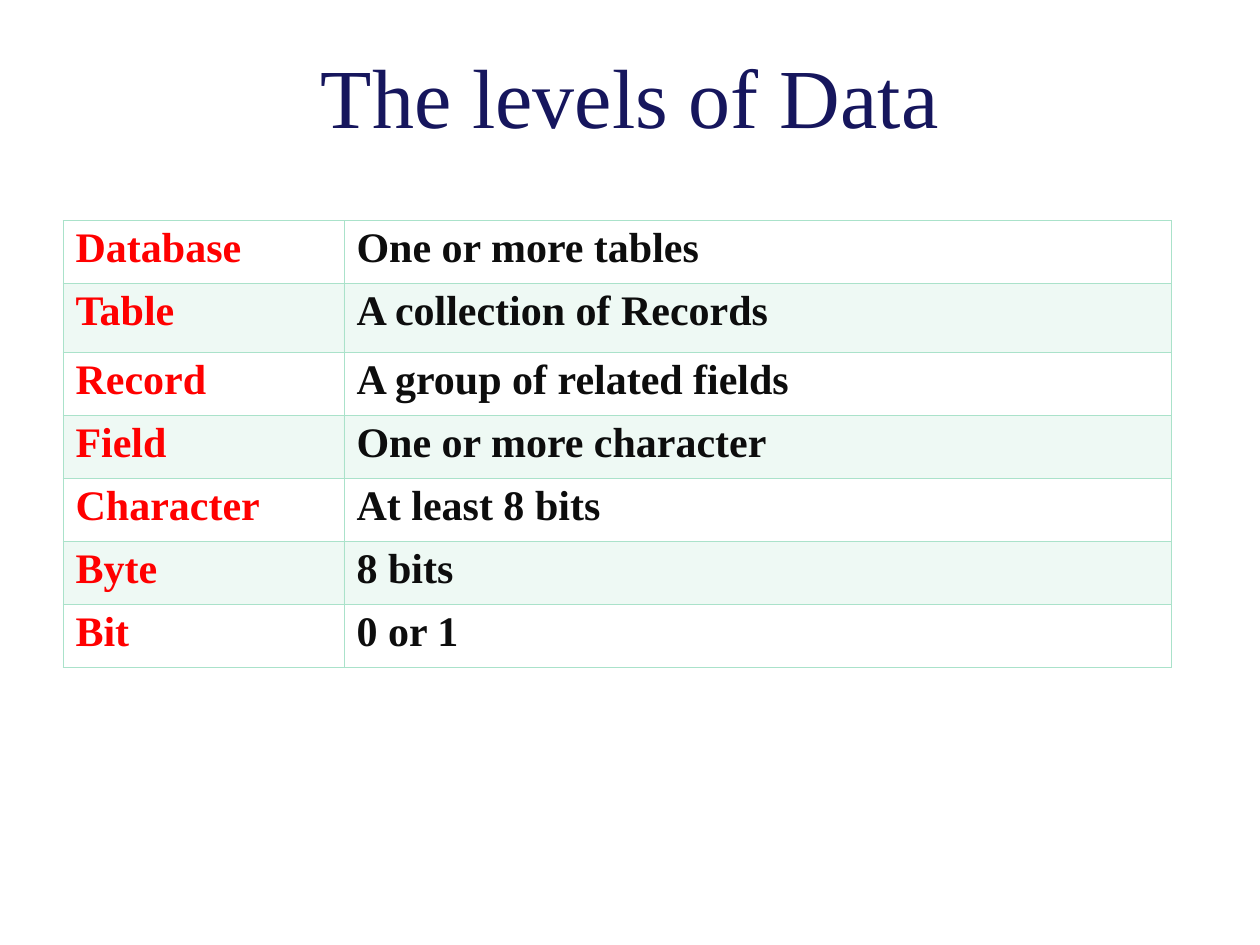
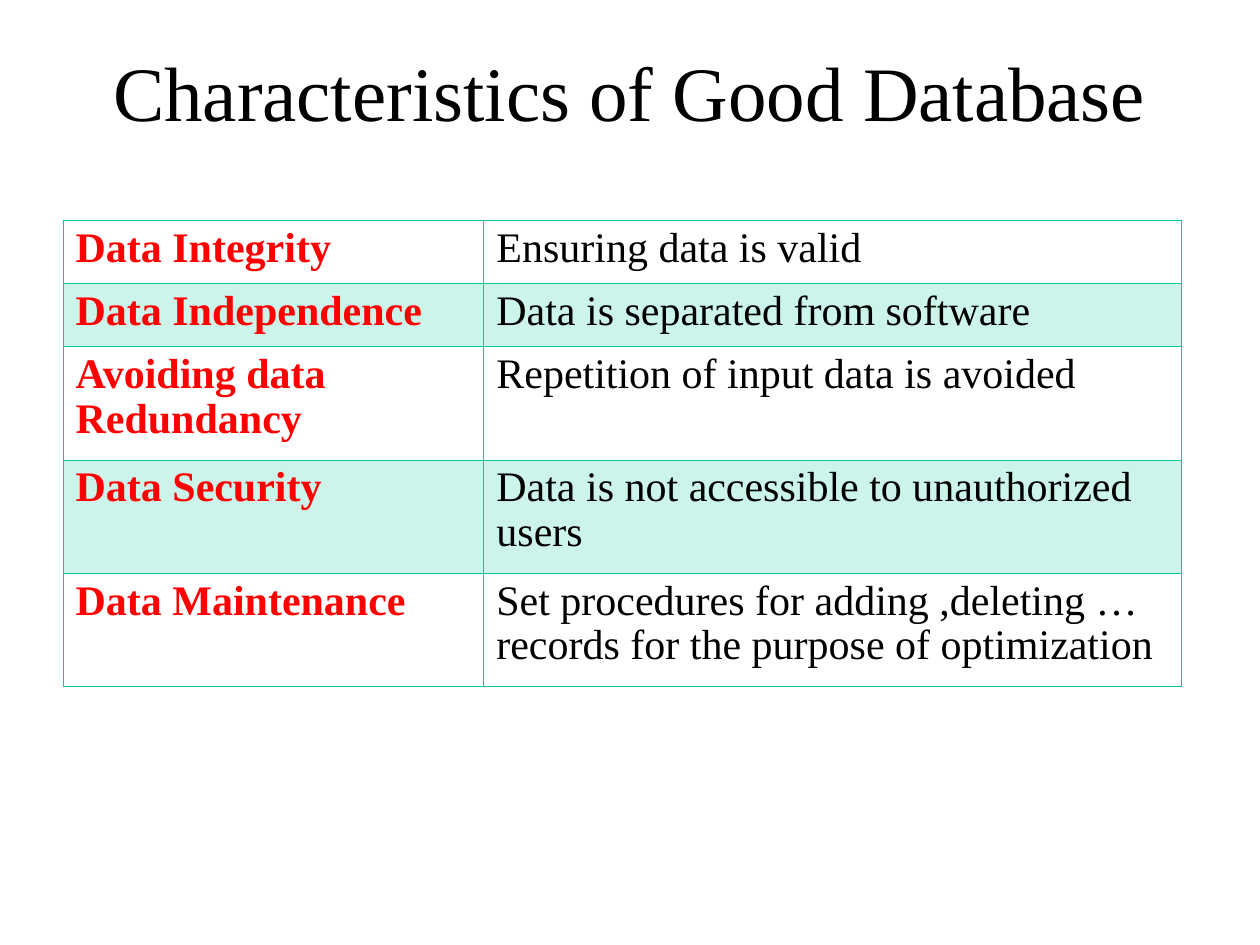
from dataclasses import dataclass

from lxml.etree import SubElement
from pptx import Presentation
from pptx.dml.color import RGBColor
from pptx.enum.text import MSO_ANCHOR, MSO_AUTO_SIZE, PP_ALIGN
from pptx.oxml.ns import qn
from pptx.util import Inches, Pt


@dataclass(frozen=True)
class Theme:
    font: str = "Times New Roman"
    navy: str = "16165D"
    black: str = "000000"
    ink: str = "0D0D0D"
    term: str = "FF0000"
    mint: str = "AAE2CA"
    green: str = "00CC99"
    band_alpha: int = 20
    large_title: int = 48
    title: int = 44
    cell: int = 24
    thin: float = 0.45
    header_rule: float = 0.96


class Deck:
    """Holds the theme and the current slide."""

    def __init__(self, theme):
        self.theme = theme
        self.prs = Presentation()
        self.prs.slide_width, self.prs.slide_height = Inches(10), Inches(7.5)
        self.s = None

    def add_slide(self):
        self.s = self.prs.slides.add_slide(self.prs.slide_layouts[5])

    def style(self, p, size, color, bold=False):
        p.font.name, p.font.size, p.font.bold = self.theme.font, Pt(size), bold
        p.font.color.rgb = RGBColor.from_string(color)

    def title(self, text, size, color):
        sp = self.s.shapes.title
        sp.left, sp.top, sp.width, sp.height = map(Inches, (0.5, 0.3, 9, 1.25))
        tf = sp.text_frame
        tf.text = text
        tf.word_wrap, tf.auto_size = True, MSO_AUTO_SIZE.NONE
        tf.vertical_anchor = MSO_ANCHOR.TOP
        p = tf.paragraphs[0]
        p.alignment, p.space_before = PP_ALIGN.CENTER, Pt(6)
        self.style(p, size, color)

    def border(self, cell, side, color, width):
        ln = SubElement(cell._tc.get_or_add_tcPr(), qn(f"a:ln{side}"), w=str(Pt(width)))
        fill = SubElement(ln, qn("a:solidFill"))
        SubElement(fill, qn("a:srgbClr"), val=color)

    def band(self, cell, color):
        cell.fill.solid()
        cell.fill.fore_color.rgb = RGBColor.from_string(color)
        clr = cell._tc.tcPr.find(f"{qn('a:solidFill')}/{qn('a:srgbClr')}")
        SubElement(clr, qn("a:alpha"), val=str(self.theme.band_alpha * 1000))

    def table(self, rows, widths, heights, accent, text_color, bold_text):
        t = self.theme
        frame = self.s.shapes.add_table(
            len(rows), len(widths), Inches(0.5), Inches(1.75),
            Inches(sum(widths)), Inches(sum(heights)))
        table = frame.table
        table.first_row = table.horz_banding = False
        for col, width in zip(table.columns, widths):
            col.width = Inches(width)
        for i, (row, height) in enumerate(zip(rows, heights)):
            table.rows[i].height = Inches(height)
            for j, text in enumerate(row):
                cell = table.cell(i, j)
                cell.text = text
                p = cell.text_frame.paragraphs[0]
                p.line_spacing, p.space_before = 0.96, Pt(1)
                is_term = j == 0
                self.style(p, t.cell, t.term if is_term else text_color,
                           is_term or bold_text)
                # Borders come before the fill in the cell properties
                for side in "LRTB":
                    under_first = (i, side) in ((0, "B"), (1, "T"))
                    self.border(cell, side, accent,
                                t.header_rule if under_first else t.thin)
                if i % 2:
                    self.band(cell, accent)
                else:
                    cell.fill.background()


def main():
    theme = Theme()
    deck = Deck(theme)

    # Levels of data
    levels = [
        ("Database", "One or more tables"),
        ("Table", "A collection of Records"),
        ("Record", "A group of related fields"),
        ("Field", "One or more character"),
        ("Character", "At least 8 bits"),
        ("Byte", "8 bits"),
        ("Bit", "0 or 1"),
    ]
    deck.add_slide()
    deck.title("The levels of Data", theme.large_title, theme.navy)
    deck.table(levels, (2.23, 6.57), [0.5, 0.55] + [0.5] * 5,
               theme.mint, theme.ink, bold_text=True)

    # Characteristics of a good database
    characteristics = [
        ("Data Integrity", "Ensuring data is valid"),
        ("Data Independence", "Data is separated from software"),
        ("Avoiding data Redundancy", "Repetition of input data is avoided"),
        ("Data Security", "Data is not accessible to unauthorized users"),
        ("Data Maintenance",
         "Set procedures for adding ,deleting … records for the purpose of optimization"),
    ]
    deck.add_slide()
    deck.title("Characteristics of Good Database", theme.title, theme.black)
    deck.table(characteristics, (3.34, 5.54), [0.5] * 2 + [0.9] * 3,
               theme.green, theme.black, bold_text=False)

    deck.prs.save("out.pptx")


if __name__ == "__main__":
    main()
